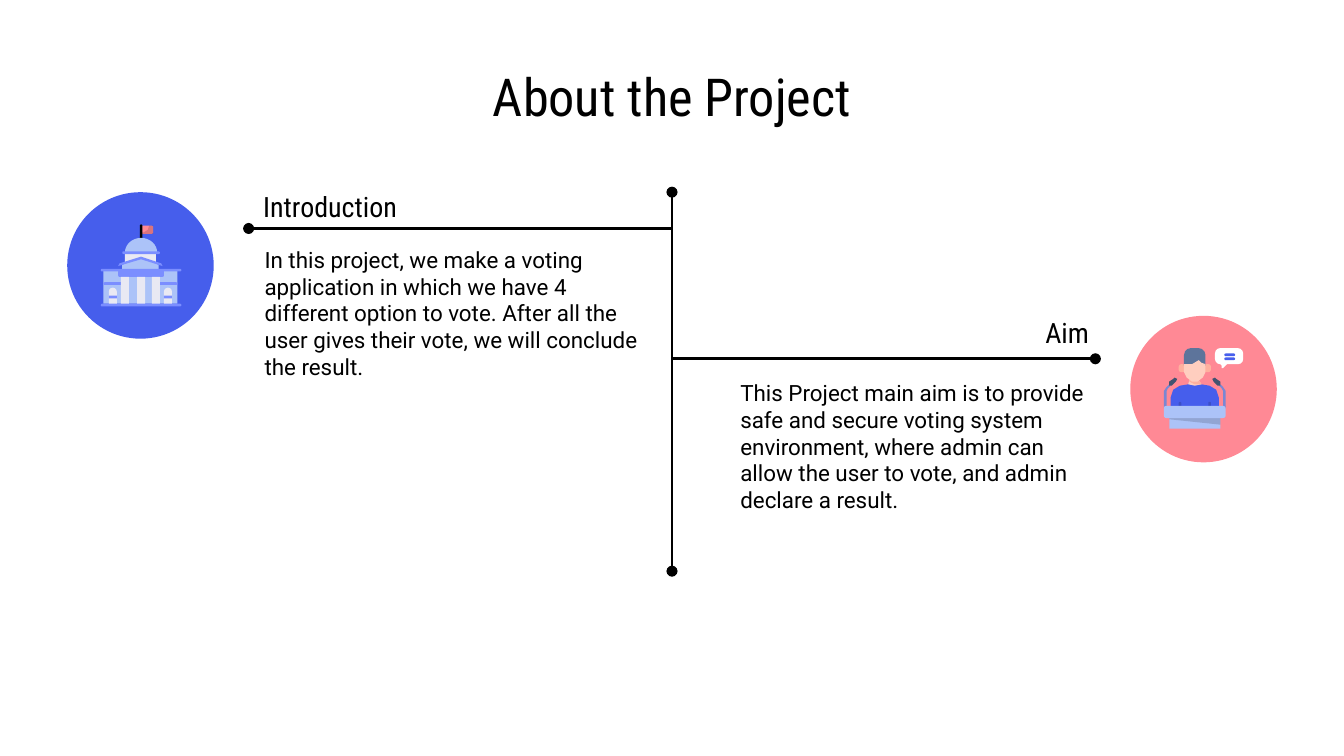
import math
from dataclasses import dataclass

from lxml import etree
from pptx import Presentation
from pptx import util as u
from pptx.dml.color import RGBColor
from pptx.enum import shapes, text
from pptx.oxml.ns import qn


@dataclass(frozen=True)
class Theme:
    ink: str = "000000"
    white: str = "FFFFFF"
    blue: str = "465EEC"
    coral: str = "FF8995"
    sky: str = "ACC3F8"
    trim: str = "7B8EFF"
    pale: str = "E9E9F3"
    skin: str = "FFCEBF"
    blush: str = "FFB09E"
    hair: str = "5D749B"
    stand: str = "7A87D3"
    microphone: str = "425370"
    heading_font: str = "Roboto Condensed"
    body_font: str = "Roboto"
    title_size: int = 28
    heading_size: int = 15
    body_size: int = 12
    line_width: float = 1.5


THEME = Theme()
KIND = shapes.MSO_SHAPE
ALIGN = text.PP_ALIGN


def paint(shape, color, opacity=100):
    shape.shadow.inherit = False
    shape.fill.solid()
    shape.fill.fore_color.rgb = RGBColor.from_string(color)
    shape.line.fill.background()
    if opacity < 100:
        tint = shape.fill._xPr.find(qn("a:solidFill"))[0]
        etree.SubElement(tint, qn("a:alpha")).set("val", str(opacity * 1000))


def write(page, box, words, font, size, align=ALIGN.LEFT, top_inset=0.1,
          anchor=text.MSO_ANCHOR.TOP):
    frame = page.shapes.add_textbox(*map(u.Inches, box)).text_frame
    frame.word_wrap = True
    frame.vertical_anchor = anchor
    frame.margin_left = frame.margin_right = frame.margin_bottom = u.Inches(0.1)
    frame.margin_top = u.Inches(top_inset)
    para = frame.paragraphs[0]
    para.text = words
    para.alignment = align
    para.font.name = font
    para.font.size = u.Pt(size)
    para.font.color.rgb = RGBColor.from_string(THEME.ink)


def rule(page, start, end, dots):
    line = page.shapes.add_connector(
        shapes.MSO_CONNECTOR.STRAIGHT, *map(u.Inches, (*start, *end)))
    line.line.width = u.Pt(THEME.line_width)
    line.line.color.rgb = RGBColor.from_string(THEME.ink)
    outline = line.line._get_or_add_ln()
    for dot in dots:
        etree.SubElement(outline, qn(f"a:{dot}")).set("type", "oval")
    etree.SubElement(line._element.spPr, qn("a:effectLst"))


class Icon:
    def __init__(self, page, left, top):
        self.shapes = page.shapes.add_group_shape().shapes
        self.left, self.top = left, top

    def block(self, box, color, kind=KIND.RECTANGLE, rounding=None, opacity=100):
        left, top, width, height = box
        shape = self.shapes.add_shape(kind, *map(
            u.Inches, (self.left + left, self.top + top, width, height)))
        if rounding is not None:
            shape.adjustments[0] = rounding
        paint(shape, color, opacity)

    def bar(self, box, color, rounding=0.5, opacity=100):
        self.block(box, color, KIND.ROUNDED_RECTANGLE, rounding, opacity)

    def arch(self, box, color, rounding):
        self.block(box, color, KIND.ROUND_2_SAME_RECTANGLE, rounding)

    def outline(self, points, color, opacity=100):
        first, *rest = [(u.Inches(self.left + x), u.Inches(self.top + y))
                        for x, y in points]
        builder = self.shapes.build_freeform(*first)
        builder.add_line_segments(rest, close=True)
        paint(builder.convert_to_shape(), color, opacity)


def badge(page, box, color):
    paint(page.shapes.add_shape(KIND.OVAL, *map(u.Inches, box)), color)


def capitol(page, box):
    badge(page, box, THEME.blue)
    icon = Icon(page, *box[:2])
    icon.block((0.43, 0.45, 0.23, 0.08), THEME.pale)
    icon.outline([(0.55, 0.49), (0.41, 0.54), (0.41, 0.58), (0.68, 0.58),
                  (0.68, 0.54)], THEME.sky)
    icon.bar((0.55, 0.25, 0.09, 0.06), THEME.coral, 0.17)
    icon.outline([(0.61, 0.25), (0.6, 0.28), (0.57, 0.3), (0.55, 0.3),
                  (0.55, 0.31), (0.64, 0.31), (0.64, 0.25)], THEME.ink, 15)
    icon.bar((0.54, 0.24, 0.02, 0.11), THEME.ink)
    icon.block((0.27, 0.58, 0.55, 0.25), THEME.sky)
    for left in (0.27, 0.68):
        icon.bar((left, 0.67, 0.14, 0.02), THEME.trim)
    icon.outline([(0.38, 0.55), (0.39, 0.53), (0.55, 0.48), (0.7, 0.53),
                  (0.71, 0.55), (0.55, 0.5)], THEME.trim)
    icon.bar((0.38, 0.58, 0.34, 0.05), THEME.trim, 0.2)
    for left in (0.4, 0.52, 0.63):
        icon.block((left, 0.63, 0.06, 0.21), THEME.pale)
    for left in (0.31, 0.72):
        icon.arch((left, 0.71, 0.06, 0.12), THEME.pale, 0.5)
        icon.block((left, 0.77, 0.06, 0.02), THEME.trim)
    angles = [math.pi * step / 16 for step in range(17)]
    icon.outline([(0.55 - 0.12 * math.cos(angle), 0.45 - 0.11 * math.sin(angle))
                  for angle in angles], THEME.sky)
    for ledge in ((0.41, 0.44, 0.28, 0.02), (0.25, 0.83, 0.6, 0.02),
                  (0.25, 0.57, 0.6, 0.02)):
        icon.bar(ledge, THEME.trim)


def speaker(page, box):
    badge(page, box, THEME.coral)
    icon = Icon(page, *box[:2])
    for left in (0.36, 0.55):
        icon.bar((left, 0.36, 0.05, 0.06), THEME.blush, 0.4)
    icon.arch((0.4, 0.24, 0.16, 0.13), THEME.hair, 0.4)
    icon.outline([(0.44, 0.45), (0.44, 0.49), (0.43, 0.51), (0.37, 0.52),
                  (0.32, 0.55), (0.3, 0.61), (0.3, 0.67), (0.66, 0.67),
                  (0.66, 0.61), (0.64, 0.55), (0.59, 0.52), (0.53, 0.51),
                  (0.51, 0.49), (0.51, 0.45)], THEME.blue)
    for left in (0.36, 0.58):
        icon.bar((left, 0.64, 0.02, 0.04), THEME.ink, opacity=15)
    icon.outline([(0.44, 0.45), (0.44, 0.48), (0.43, 0.51), (0.48, 0.52),
                  (0.53, 0.51), (0.51, 0.48), (0.51, 0.45)], THEME.skin)
    icon.outline([(0.44, 0.45), (0.44, 0.49), (0.48, 0.51), (0.53, 0.51),
                  (0.51, 0.48), (0.51, 0.45)], THEME.blush)
    icon.outline([(0.51, 0.33), (0.46, 0.36), (0.4, 0.36), (0.4, 0.42),
                  (0.42, 0.46), (0.46, 0.49), (0.5, 0.49), (0.54, 0.46),
                  (0.56, 0.42), (0.56, 0.36), (0.53, 0.35)], THEME.skin)
    stand = [(0.67, 0.51), (0.66, 0.52), (0.68, 0.54), (0.69, 0.56),
             (0.69, 0.69), (0.71, 0.69), (0.71, 0.56), (0.69, 0.53)]
    microphone = [(0.63, 0.46), (0.61, 0.47), (0.62, 0.49), (0.65, 0.52),
                  (0.67, 0.52), (0.67, 0.49), (0.64, 0.47)]
    for points, color in ((stand, THEME.stand), (microphone, THEME.microphone)):
        icon.outline(points, color)
        icon.outline([(0.96 - x, y) for x, y in points], color)
    icon.block((0.29, 0.73, 0.38, 0.11), THEME.sky)
    icon.outline([(0.29, 0.73), (0.29, 0.77), (0.67, 0.81), (0.67, 0.73)],
                 THEME.ink, 15)
    icon.bar((0.25, 0.67, 0.46, 0.09), THEME.sky, 0.2)
    icon.bar((0.63, 0.24, 0.21, 0.12), THEME.white, 0.33)
    icon.outline([(0.67, 0.36), (0.68, 0.37), (0.68, 0.39), (0.69, 0.39),
                  (0.72, 0.36)], THEME.white)
    for top in (0.28, 0.31):
        icon.bar((0.7, top, 0.08, 0.02), THEME.blue)


def timeline(page, box):
    left, top, width, height = box
    middle = left + width / 2
    rule(page, (middle, top), (middle, top + height), ("headEnd", "tailEnd"))
    for end, drop in ((left, 0.27), (left + width, 1.24)):
        rule(page, (middle, top + drop), (end, top + drop), ("tailEnd",))


def topic(page, box, heading, body, body_box, align, body_inset):
    left, top, width, height = box
    write(page, box, heading, THEME.heading_font, THEME.heading_size, align, 0.02)
    shift, drop, body_width, body_height = body_box
    write(page, (left + shift, top + drop, body_width, body_height), body,
          THEME.body_font, THEME.body_size, top_inset=body_inset)


def main():
    deck = Presentation()
    deck.slide_width = u.Inches(10)
    deck.slide_height = deck.slide_width * 9 // 16
    page = deck.slides.add_slide(deck.slide_layouts[6])
    timeline(page, (1.85, 1.43, 6.3, 2.82))
    write(page, (0.5, 0.45, 9, 0.53), "About the Project", THEME.heading_font,
          THEME.title_size, ALIGN.CENTER, anchor=text.MSO_ANCHOR.MIDDLE)
    topic(page, (1.86, 1.39, 2.78, 0.29), "Introduction",
          "In this project, we make a voting application in which we have 4 "
          "different option to vote. After all the user gives their vote, we "
          "will conclude the result.", (0.01, 0.39, 3, 1.11), ALIGN.LEFT, 0.05)
    topic(page, (5.42, 2.33, 2.78, 0.29), "Aim",
          "This Project main aim is to provide safe and secure voting system "
          "environment, where admin can allow the user to vote, and admin "
          "declare a result.", (-0.01, 0.47, 2.78, 0.7), ALIGN.RIGHT, 0.02)
    capitol(page, (0.5, 1.43, 1.09, 1.09))
    speaker(page, (8.41, 2.35, 1.09, 1.09))
    deck.save("out.pptx")


if __name__ == "__main__":
    main()
